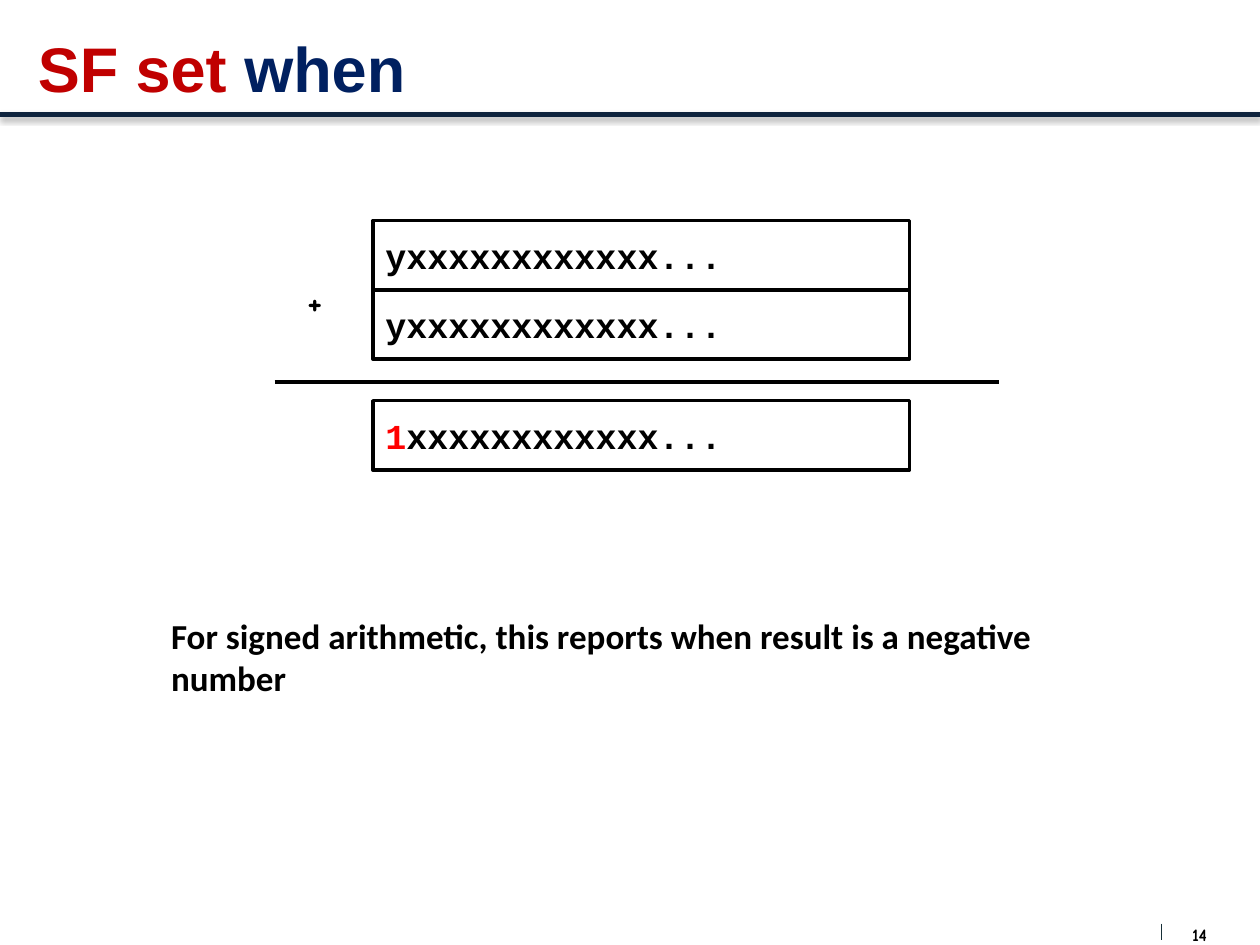
from dataclasses import dataclass

from lxml import etree
from pptx import Presentation
from pptx.dml.color import RGBColor
from pptx.enum.shapes import MSO_CONNECTOR, MSO_SHAPE
from pptx.enum.text import MSO_ANCHOR, PP_ALIGN
from pptx.oxml.ns import qn
from pptx.util import Inches, Pt

STRAIGHT, RECTANGLE = MSO_CONNECTOR.STRAIGHT, MSO_SHAPE.RECTANGLE
TOP, MIDDLE = MSO_ANCHOR.TOP, MSO_ANCHOR.MIDDLE
LEFT, CENTER = PP_ALIGN.LEFT, PP_ALIGN.CENTER

WIDTH, HEIGHT = 10, 7.5
BLACK, RED = "000000", "FF0000"
ROW_LEFT, ROW_TOP, ROW_WIDTH, ROW_HEIGHT = 2.96, 1.75, 4.26, 0.55
RESULT_ROW = 2.6  # rows below the first operand, leaving room for the sum line


@dataclass
class Run:
    text: str
    color: str = BLACK


@dataclass
class Register:
    row: float
    runs: list[Run]


@dataclass
class Label:
    box: tuple[float, float, float, float]
    text: str
    font: str
    size: float = 20
    align: PP_ALIGN = LEFT
    margin: float | None = None


@dataclass
class Rule:
    start: tuple[float, float]
    end: tuple[float, float]
    color: str
    weight: float
    shadow: bool = False


DIGITS = "xxxxxxxxxxxx..."
REGISTERS = [
    Register(0, [Run("y" + DIGITS)]),
    Register(1, [Run("y" + DIGITS)]),
    Register(RESULT_ROW, [Run("1", RED), Run(DIGITS)]),
]
RULES = [
    Rule((0, 0.91), (WIDTH, 0.91), "0F243E", 3, shadow=True),
    Rule((9.22, 7.33), (9.22, 7.46), "172F37", 0.75),
    Rule((2.18, 3.03), (7.93, 3.03), BLACK, 2),
]
LABELS = [
    Label((9.35, 7.33, 0.34, 0.17), "14", "Comic Neue", 10, CENTER, 0),
    Label((2.34, 2.17, 0.5, 0.81), "+", "Comic Neue"),
    Label((1.26, 4.83, 7.86, 0.44),
          "For signed arithmetic, this reports when result is a negative number",
          "Calibri"),
]


def rgb(color: str) -> RGBColor:
    return RGBColor.from_string(color)


def set_text(shape, runs: list[Run], font: str, size: float,
             align: PP_ALIGN = LEFT, anchor: MSO_ANCHOR = MIDDLE) -> None:
    frame = shape.text_frame
    frame.word_wrap = True
    frame.vertical_anchor = anchor
    paragraph = frame.paragraphs[0]
    paragraph.alignment = align
    font_format = {"name": font, "size": Pt(size), "bold": True}
    for item in runs:
        run = paragraph.add_run()
        run.text = item.text
        for name, value in font_format.items():
            setattr(run.font, name, value)
        run.font.color.rgb = rgb(item.color)


def draw_rule(slide, rule: Rule) -> None:
    connector = slide.shapes.add_connector(
        STRAIGHT, *map(Inches, rule.start + rule.end))
    connector.line.color.rgb = rgb(rule.color)
    connector.line.width = Pt(rule.weight)
    properties = connector._element.spPr
    effects = etree.SubElement(properties, qn("a:effectLst"))
    if rule.shadow:
        shadow = etree.SubElement(
            effects, qn("a:outerShdw"), blurRad=str(Pt(3.1)),
            dist=str(Pt(1.8)), dir="5400000", rotWithShape="0")
        color = etree.SubElement(shadow, qn("a:srgbClr"), val=BLACK)
        etree.SubElement(color, qn("a:alpha"), val="35000")


def draw_register(slide, register: Register) -> None:
    top = ROW_TOP + register.row * ROW_HEIGHT
    shape = slide.shapes.add_shape(
        RECTANGLE, *map(Inches, (ROW_LEFT, top, ROW_WIDTH, ROW_HEIGHT)))
    shape.shadow.inherit = False
    shape.fill.background()
    shape.line.color.rgb = rgb(BLACK)
    shape.line.width = Pt(2)
    set_text(shape, register.runs, "Courier New", 20)


def draw_label(slide, label: Label) -> None:
    shape = slide.shapes.add_textbox(*map(Inches, label.box))
    if label.margin is not None:
        for side in ("left", "top", "right", "bottom"):
            setattr(shape.text_frame, f"margin_{side}", Inches(label.margin))
    set_text(shape, [Run(label.text)], label.font, label.size, label.align, TOP)


def main() -> None:
    presentation = Presentation()
    presentation.slide_width = Inches(WIDTH)
    presentation.slide_height = Inches(HEIGHT)
    slide = presentation.slides.add_slide(presentation.slide_layouts[5])

    # Title
    title = slide.shapes.title
    title_box = {"left": 0.2, "top": 0, "width": 9.53, "height": 1.07}
    for name, value in title_box.items():
        setattr(title, name, Inches(value))
    set_text(title, [Run("SF set ", "C00000"), Run("when", "002060")], "Arial", 36)

    # Header rule, page number divider and sum line
    for rule in RULES:
        draw_rule(slide, rule)

    # Operands and result
    for register in REGISTERS:
        draw_register(slide, register)

    # Page number, plus sign and explanation
    for label in LABELS:
        draw_label(slide, label)

    presentation.save("out.pptx")


if __name__ == "__main__":
    main()
